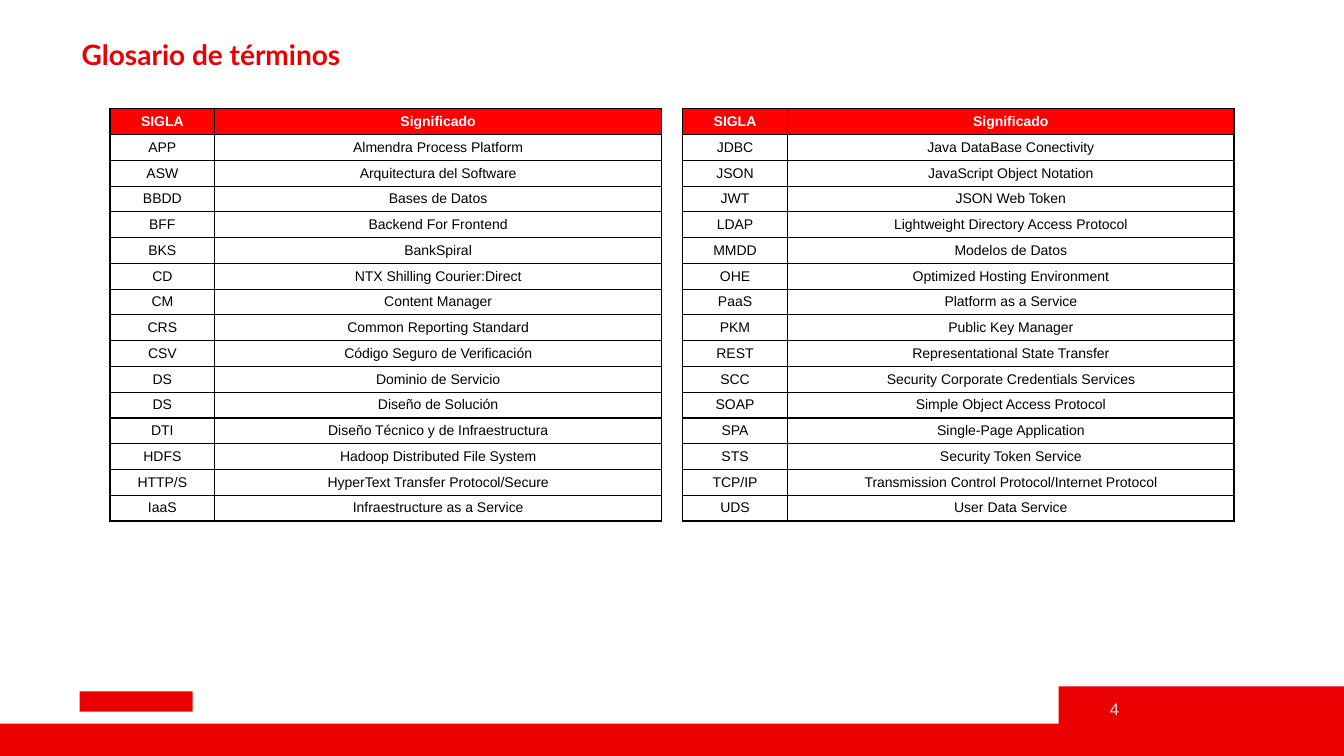
from dataclasses import dataclass

from lxml.etree import SubElement
from pptx import Presentation
from pptx.dml.color import RGBColor
from pptx.enum.shapes import MSO_SHAPE
from pptx.enum.text import MSO_ANCHOR, MSO_AUTO_SIZE, PP_ALIGN
from pptx.oxml.ns import qn
from pptx.slide import Slide
from pptx.table import _Cell
from pptx.text.text import TextFrame
from pptx.util import Inches, Pt

BRAND_RED = RGBColor(0xEB, 0x00, 0x00)
HEADER_RED = RGBColor(0xFF, 0x00, 0x00)
WHITE = RGBColor(0xFF, 0xFF, 0xFF)
BLACK = RGBColor(0x00, 0x00, 0x00)
PAGE_GREY = RGBColor(0xD9, 0xD9, 0xD9)

TABLE_TOP = 1.08
TABLE_HEIGHT = 4.09
COLUMN_WIDTHS = (1.04, 4.43)
HEADER = ("SIGLA", "Significado")


@dataclass(frozen=True)
class Bar:
    left: float
    top: float
    width: float
    height: float


@dataclass(frozen=True)
class Glossary:
    left: float
    terms: tuple[tuple[str, str], ...]


FOOTER_BARS = (
    Bar(0, 7.18, 13.33, 0.32),
    Bar(10.5, 6.81, 2.83, 0.39),
    Bar(0.79, 6.86, 1.12, 0.2),
)

GLOSSARIES = (
    Glossary(1.09, (
        ("APP", "Almendra Process Platform"),
        ("ASW", "Arquitectura del Software"),
        ("BBDD", "Bases de Datos"),
        ("BFF", "Backend For Frontend"),
        ("BKS", "BankSpiral"),
        ("CD", "NTX Shilling Courier:Direct"),
        ("CM", "Content Manager"),
        ("CRS", "Common Reporting Standard"),
        ("CSV", "Código Seguro de Verificación"),
        ("DS", "Dominio de Servicio"),
        ("DS", "Diseño de Solución"),
        ("DTI", "Diseño Técnico y de Infraestructura"),
        ("HDFS", "Hadoop Distributed File System"),
        ("HTTP/S", "HyperText Transfer Protocol/Secure"),
        ("IaaS", "Infraestructure as a Service"),
    )),
    Glossary(6.77, (
        ("JDBC", "Java DataBase Conectivity"),
        ("JSON", "JavaScript Object Notation"),
        ("JWT", "JSON Web Token"),
        ("LDAP", "Lightweight Directory Access Protocol"),
        ("MMDD", "Modelos de Datos"),
        ("OHE", "Optimized Hosting Environment"),
        ("PaaS", "Platform as a Service"),
        ("PKM", "Public Key Manager"),
        ("REST", "Representational State Transfer"),
        ("SCC", "Security Corporate Credentials Services"),
        ("SOAP", "Simple Object Access Protocol"),
        ("SPA", "Single-Page Application"),
        ("STS", "Security Token Service"),
        ("TCP/IP", "Transmission Control Protocol/Internet Protocol"),
        ("UDS", "User Data Service"),
    )),
)


def write_text(frame: TextFrame, text: str, *, size: float, color: RGBColor,
               font: str = "Arial", bold: bool = False,
               align: PP_ALIGN = PP_ALIGN.CENTER) -> None:
    paragraph = frame.paragraphs[0]
    paragraph.alignment = align
    run = paragraph.add_run()
    run.text = text
    run.font.name = font
    run.font.size = Pt(size)
    run.font.bold = bold
    run.font.color.rgb = color


def add_bar(slide: Slide, bar: Bar) -> None:
    shape = slide.shapes.add_shape(
        MSO_SHAPE.RECTANGLE, Inches(bar.left), Inches(bar.top),
        Inches(bar.width), Inches(bar.height))
    shape.shadow.inherit = False
    shape.fill.solid()
    shape.fill.fore_color.rgb = BRAND_RED
    shape.line.fill.background()


def add_borders(cell: _Cell) -> None:
    properties = cell._tc.get_or_add_tcPr()
    for side in ("a:lnL", "a:lnR", "a:lnT", "a:lnB"):
        border = SubElement(properties, qn(side), w=str(Pt(1)))
        fill = SubElement(border, qn("a:solidFill"))
        SubElement(fill, qn("a:srgbClr"), val=str(BLACK))


def format_cell(cell: _Cell, text: str, is_header: bool) -> None:
    add_borders(cell)
    cell.margin_top = cell.margin_bottom = 0
    cell.vertical_anchor = MSO_ANCHOR.MIDDLE
    if is_header:
        cell.fill.solid()
        cell.fill.fore_color.rgb = HEADER_RED
    else:
        cell.fill.background()
    write_text(cell.text_frame, text, size=10, bold=is_header,
               color=WHITE if is_header else BLACK)


def add_glossary(slide: Slide, glossary: Glossary) -> None:
    entries = (HEADER, *glossary.terms)
    table = slide.shapes.add_table(
        len(entries), len(HEADER), Inches(glossary.left), Inches(TABLE_TOP),
        Inches(sum(COLUMN_WIDTHS)), Inches(TABLE_HEIGHT)).table
    table.horz_banding = False
    for column, width in zip(table.columns, COLUMN_WIDTHS):
        column.width = Inches(width)
    for row_index, entry in enumerate(entries):
        for column_index, text in enumerate(entry):
            format_cell(table.cell(row_index, column_index), text,
                        is_header=row_index == 0)


def add_title(slide: Slide) -> None:
    title = slide.shapes.title
    title.left, title.top = Inches(0.71), Inches(0.36)
    title.width, title.height = Inches(11.85), Inches(0.35)
    frame = title.text_frame
    frame.auto_size = MSO_AUTO_SIZE.NONE
    frame.vertical_anchor = MSO_ANCHOR.TOP
    frame.paragraphs[0].line_spacing = 0.9
    frame.paragraphs[0].space_before = Pt(10)
    write_text(frame, "Glosario de términos", size=20, color=BRAND_RED,
               font="Lato", bold=True, align=PP_ALIGN.LEFT)


def add_page_number(slide: Slide) -> None:
    frame = slide.shapes.add_textbox(
        Inches(10.5), Inches(6.83), Inches(0.7), Inches(0.4)).text_frame
    frame.word_wrap = True
    frame.vertical_anchor = MSO_ANCHOR.MIDDLE
    write_text(frame, "4", size=12, color=PAGE_GREY, align=PP_ALIGN.RIGHT)


def main() -> None:
    presentation = Presentation()
    presentation.slide_width = Inches(13.33)
    presentation.slide_height = Inches(7.5)
    slide = presentation.slides.add_slide(presentation.slide_layouts[5])
    for bar in FOOTER_BARS:
        add_bar(slide, bar)
    add_page_number(slide)
    add_title(slide)
    for glossary in GLOSSARIES:
        add_glossary(slide, glossary)
    presentation.save("out.pptx")


if __name__ == "__main__":
    main()
